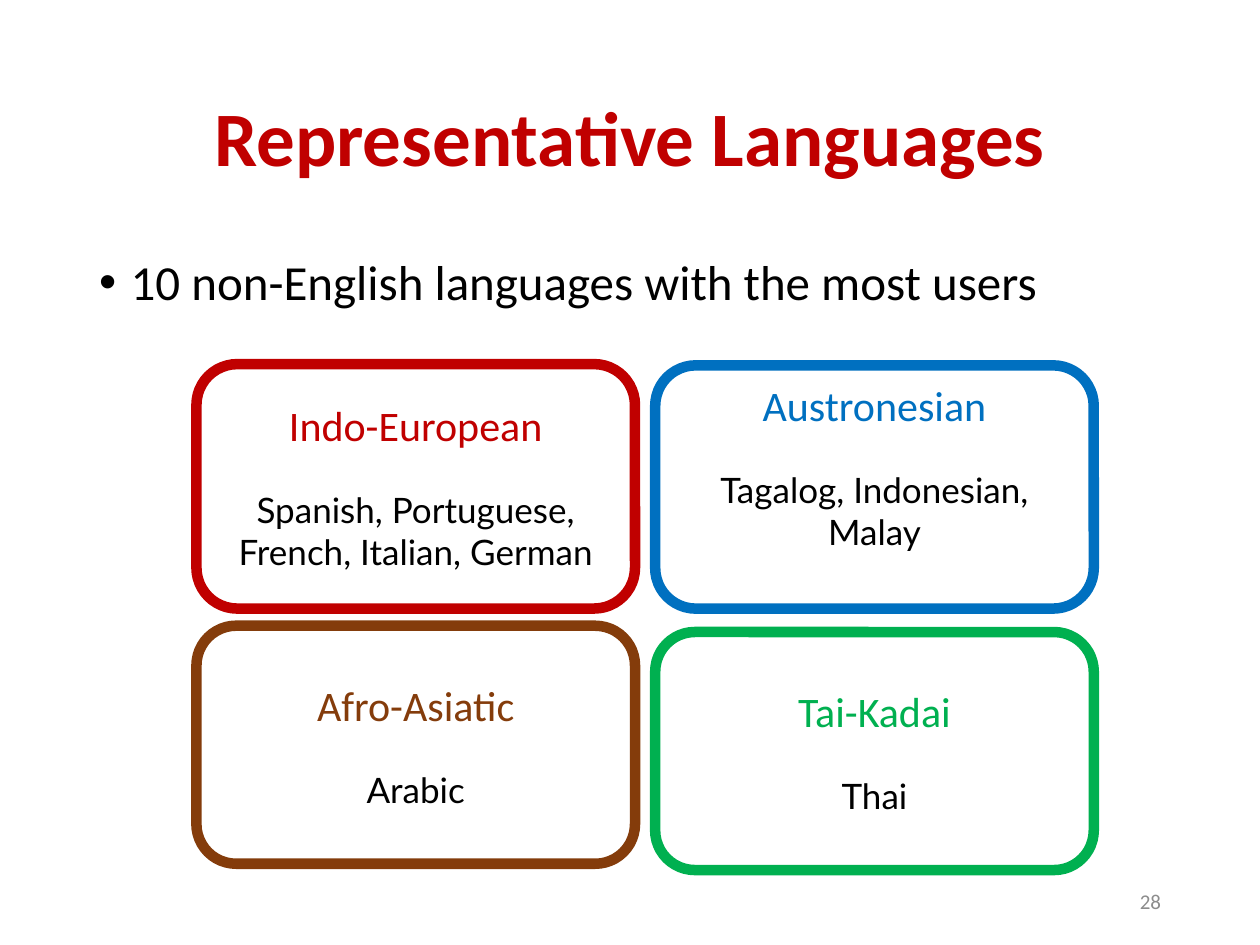
from lxml import etree
from pptx import Presentation
from pptx.dml.color import RGBColor
from pptx.enum.shapes import MSO_SHAPE
from pptx.enum.text import MSO_ANCHOR, PP_ALIGN
from pptx.oxml.ns import qn
from pptx.util import Pt

RED = RGBColor(0xC0, 0x00, 0x00)
BLUE = RGBColor(0x00, 0x70, 0xC0)
BROWN = RGBColor(0x84, 0x3C, 0x0B)
GREEN = RGBColor(0x00, 0xB0, 0x50)
BLACK = RGBColor(0x00, 0x00, 0x00)
GRAY = RGBColor(0x8C, 0x8C, 0x8C)


def write(paragraph, text, size, color, font="Calibri", bold=False,
          align=PP_ALIGN.CENTER, before=0, line=1.0):
    """Put formatted text into a paragraph."""
    paragraph.alignment = align
    paragraph.space_before = Pt(before)
    paragraph.line_spacing = line
    run = paragraph.add_run()
    run.text = text
    run.font.name = font
    run.font.size = Pt(size)
    run.font.bold = bold
    run.font.color.rgb = color


def place(shape, left, top, width, height):
    shape.left, shape.top = Pt(left), Pt(top)
    shape.width, shape.height = Pt(width), Pt(height)


deck = Presentation()
deck.slide_width, deck.slide_height = Pt(720), Pt(540)
slide = deck.slides.add_slide(deck.slide_layouts[1])

# Title
title = slide.shapes.title
place(title, 49.5, 28.75, 621, 104.4)
title.text_frame.vertical_anchor = MSO_ANCHOR.MIDDLE
write(title.text_frame.paragraphs[0], "Representative Languages", 44, RED,
      bold=True, line=0.9)

# Bullet
summary = slide.placeholders[1]
place(summary, 49.5, 143.75, 621, 342.6)
bullet = summary.text_frame.paragraphs[0]
bullet_format = bullet._p.get_or_add_pPr()
bullet_format.set("marL", str(Pt(18)))
bullet_format.set("indent", str(-Pt(18)))
etree.SubElement(bullet_format, qn("a:buFont")).set("typeface", "Arial")
etree.SubElement(bullet_format, qn("a:buChar")).set("char", "•")
write(bullet, "10 non-English languages with the most users", 28, BLACK,
      align=PP_ALIGN.LEFT, line=0.9)

# Slide number
page_number = slide.shapes.add_textbox(Pt(508.5), Pt(500.5), Pt(162), Pt(28.75))
page_number.text_frame.word_wrap = True
page_number.text_frame.vertical_anchor = MSO_ANCHOR.MIDDLE
write(page_number.text_frame.paragraphs[0], "28", 12, GRAY, align=PP_ALIGN.RIGHT)

# Language families: name, languages, colour, left, top, height, bottom inset
LEFT, RIGHT = 112.25, 374.4
families = [
    ("Indo-European", "Spanish, Portuguese, French, Italian, German", RED,
     LEFT, 208.1, 139.7, 3.6),
    ("Austronesian", "Tagalog, Indonesian, Malay", BLUE,
     RIGHT, 208.8, 139, 27.6),
    ("Afro-Asiatic", "Arabic", BROWN, LEFT, 357.6, 136, 3.6),
    ("Tai-Kadai", "Thai", GREEN, RIGHT, 361.2, 136, 3.6),
]
for name, languages, color, left, top, height, bottom in families:
    family = slide.shapes.add_shape(MSO_SHAPE.ROUNDED_RECTANGLE,
                                    Pt(left), Pt(top), Pt(250.6), Pt(height))
    family.shadow.inherit = False
    family.fill.background()
    family.line.color.rgb = color
    family.line.width = Pt(6)
    frame = family.text_frame
    frame.word_wrap = True
    frame.vertical_anchor = MSO_ANCHOR.MIDDLE
    frame.margin_bottom = Pt(bottom)
    write(frame.paragraphs[0], name, 24, color)
    write(frame.add_paragraph(), languages, 20, BLACK, font="Lato", before=22)

deck.save("out.pptx")
